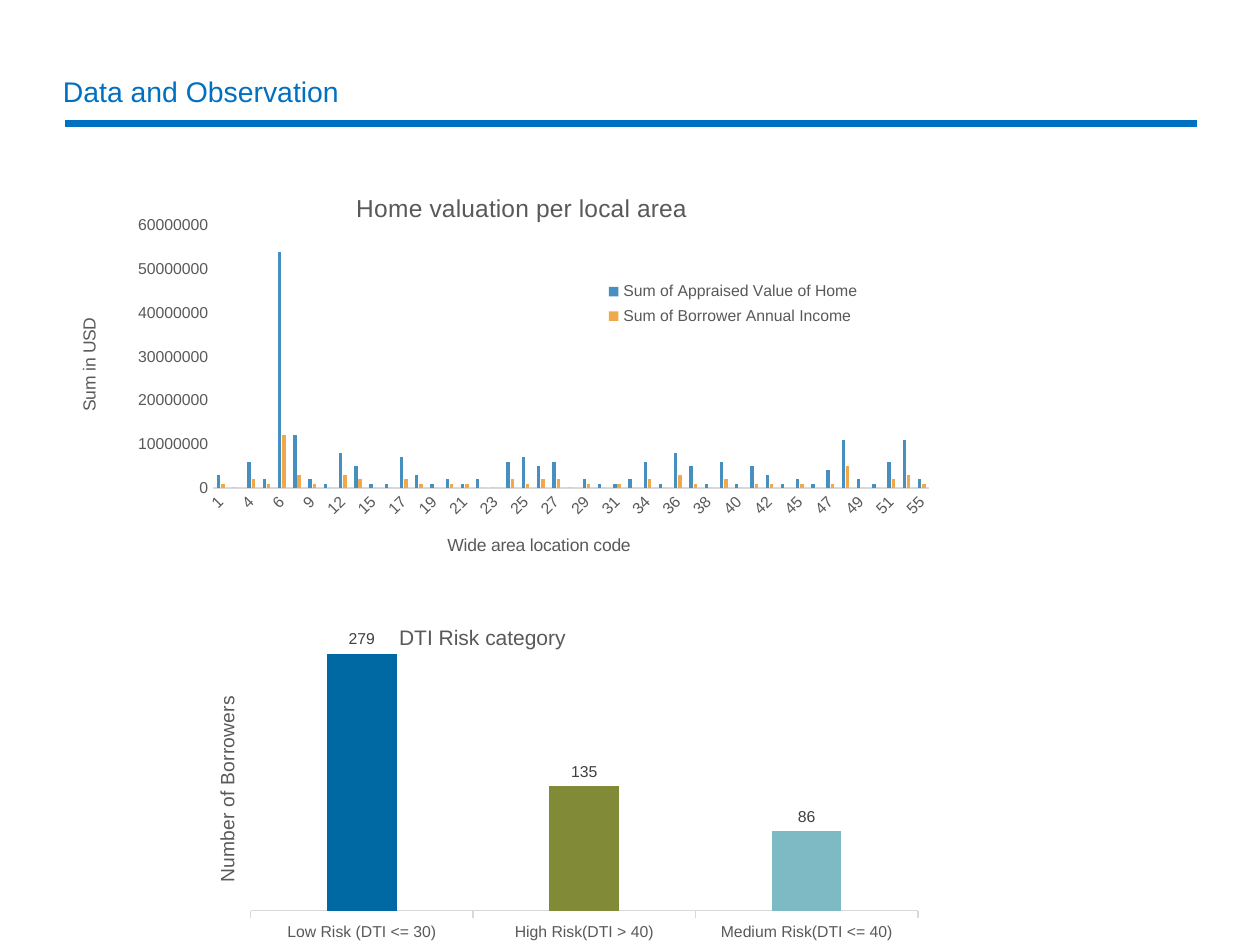
from dataclasses import dataclass

from lxml.etree import SubElement
from pptx import Presentation
from pptx.chart.data import CategoryChartData
from pptx.dml.color import RGBColor
from pptx.enum.chart import XL_CHART_TYPE as ChartType, XL_LABEL_POSITION as LabelPos
from pptx.enum.chart import XL_LEGEND_POSITION as LegendPos, XL_TICK_MARK as Tick
from pptx.enum.text import MSO_ANCHOR as Anchor
from pptx.oxml.ns import qn
from pptx.util import Cm, Pt

BLUE, GREY, DARK, PALE = "0070C0", "595959", "404040", "D9D9D9"
MILLION = 1_000_000
AREA_CODES = """1 2 4 5 6 8 9 10 12 13 15 16 17 18 19 20 21 22 23 24 25 26 27 28 29 30 31 32
34 35 36 37 38 39 40 41 42 44 45 46 47 48 49 50 51 53 55""".split()
HOME_VALUES = [3, 0, 6, 2, 54, 12, 2, 1, 8, 5, 1, 1, 7, 3, 1, 2, 1, 2, 0, 6, 7, 5, 6, 0,
               2, 1, 1, 2, 6, 1, 8, 5, 1, 6, 1, 5, 3, 1, 2, 1, 4, 11, 2, 1, 6, 11, 2]
INCOMES = [1, 0, 2, 1, 12, 3, 1, 0, 3, 2, 0, 0, 2, 1, 0, 1, 1, 0, 0, 2, 1, 2, 2, 0,
           1, 0, 1, 0, 2, 0, 3, 1, 0, 2, 0, 1, 1, 0, 1, 0, 1, 5, 0, 0, 2, 3, 1]


@dataclass
class Heading:
    text: str
    size: float
    x: float
    y: float


@dataclass
class ColumnChart:
    box: tuple
    categories: list
    series: dict
    plot: tuple
    heading: Heading
    value_heading: Heading
    top: int
    step: int
    tick: Tick


def rgb(value: str) -> RGBColor:
    return RGBColor.from_string(value)


def style_font(font, size: float, color: str) -> None:
    for name, value in {"name": "Arial", "size": Pt(size), "bold": False}.items():
        setattr(font, name, value)
    font.color.rgb = rgb(color)


def place(part, x: float, y: float, w=None, h=None, after=None, inner=False) -> None:
    """Give a chart part a fixed place, in fractions of the chart."""
    for old in part.findall(qn("c:layout")):
        part.remove(old)
    layout = SubElement(part, qn("c:layout"))
    part.insert(part.index(part.find(qn(after))) + 1 if after else 0, layout)
    manual = SubElement(layout, qn("c:manualLayout"))
    values = {"layoutTarget": "inner" if inner else None, "xMode": "edge",
              "yMode": "edge", "x": x, "y": y, "w": w, "h": h}
    for tag, value in values.items():
        if value is not None:
            SubElement(manual, qn(f"c:{tag}")).set("val", str(value))


def add_heading(owner, heading: Heading) -> None:
    title = getattr(owner, "chart_title", None) or owner.axis_title
    title.text_frame.text = heading.text
    style_font(title.text_frame.paragraphs[0].runs[0].font, heading.size, GREY)
    place(title._element, heading.x, heading.y, after="c:tx")


def add_columns(slide, spec_data: ColumnChart):
    data = CategoryChartData()
    data.categories = spec_data.categories
    for name, values in spec_data.series.items():
        data.add_series(name, values)
    box = [Cm(length) for length in spec_data.box]
    chart = slide.shapes.add_chart(ChartType.COLUMN_CLUSTERED, *box, data).chart
    style_font(chart.font, 10, "000000")
    chart.has_legend = False
    add_heading(chart, spec_data.heading)
    bars = chart.plots[0]
    for name, value in {"gap_width": 219, "overlap": -27, "vary_by_categories": False}.items():
        setattr(bars, name, value)
    scale = {"minimum_scale": 0, "maximum_scale": spec_data.top, "major_unit": spec_data.step,
             "has_major_gridlines": False, "major_tick_mark": Tick.NONE}
    for name, value in scale.items():
        setattr(chart.value_axis, name, value)
    chart.category_axis.major_tick_mark = spec_data.tick
    for axis in (chart.category_axis, chart.value_axis):
        style_font(axis.tick_labels.font, 9, GREY)
    axis_line = chart.category_axis.format.line
    axis_line.color.rgb, axis_line.width = rgb(PALE), Pt(0.75)
    chart.value_axis.format.line.fill.background()
    add_heading(chart.value_axis, spec_data.value_heading)
    place(chart._chartSpace.chart.plotArea, *spec_data.plot, inner=True)
    return chart


def color_fill(part, color: str) -> None:
    part.format.fill.solid()
    part.format.fill.fore_color.rgb = rgb(color)


def add_title(slide, text: str) -> None:
    rule = slide.shapes.add_connector(1, Cm(1.32), Cm(2.49), Cm(24.13), Cm(2.49))
    rule.line.color.rgb, rule.line.width = rgb(BLUE), Pt(4.5)
    SubElement(rule._element.spPr, qn("a:effectLst"))
    frame = slide.shapes.add_textbox(Cm(1.27), Cm(1.5), Cm(22.86), Cm(0.76)).text_frame
    settings = {"word_wrap": True, "vertical_anchor": Anchor.MIDDLE,
                "margin_left": 0, "margin_right": 0}
    for name, value in settings.items():
        setattr(frame, name, value)
    line = frame.paragraphs[0]
    line.line_spacing = 0.9
    run = line.add_run()
    run.text = text
    style_font(run.font, 16.2, BLUE)


def add_valuation(slide) -> None:
    chart = add_columns(slide, ColumnChart(
        (1.27, 3.1, 23.29, 8.53), AREA_CODES,
        {"Sum of Appraised Value of Home": [v * MILLION for v in HOME_VALUES],
         "Sum of Borrower Annual Income": [v * MILLION for v in INCOMES]},
        (0.13, 0.17, 0.62, 0.62), Heading("Home valuation per local area", 14, 0.25, 0.08),
        Heading("Sum in USD", 10, 0.01, 0.38), 60 * MILLION, 10 * MILLION, Tick.NONE))
    add_heading(chart.category_axis, Heading("Wide area location code", 10, 0.33, 0.89))
    chart.category_axis._element.txPr.bodyPr.set("rot", "-2700000")
    for series, color in zip(chart.plots[0].series, ("478FBF", "F1A84A")):
        color_fill(series, color)
    chart.has_legend = True
    chart.legend.position = LegendPos.RIGHT
    chart.legend.include_in_layout = False
    style_font(chart.legend.font, 9, GREY)
    place(chart.legend._element, 0.46, 0.29, 0.24, 0.13, after="c:legendPos")


def add_risk(slide) -> None:
    chart = add_columns(slide, ColumnChart(
        (3.43, 12.17, 16.21, 6.88),
        ["Low Risk (DTI <= 30)", "High Risk(DTI > 40)", "Medium Risk(DTI <= 40)"],
        {"Series 1": [279, 135, 86]}, (0.1, 0.09, 0.83, 0.81),
        Heading("DTI Risk category", 12, 0.28, 0.05),
        Heading("Number of Borrowers", 11, 0.05, 0.26), 300, 50, Tick.OUTSIDE))
    chart.value_axis.visible = False
    series = chart.plots[0].series[0]
    for index, color in enumerate(("0069A3", "818A37", "7DBAC4")):
        color_fill(series.points[index], color)
    labels = series.data_labels
    labels.show_value, labels.position = True, LabelPos.OUTSIDE_END
    style_font(labels.font, 9, DARK)


def main() -> None:
    deck = Presentation()
    deck.slide_width, deck.slide_height = Cm(25.4), Cm(19.05)
    slide = deck.slides.add_slide(deck.slide_layouts[6])
    add_title(slide, "Data and Observation")
    add_valuation(slide)
    add_risk(slide)
    deck.save("out.pptx")


if __name__ == "__main__":
    main()
